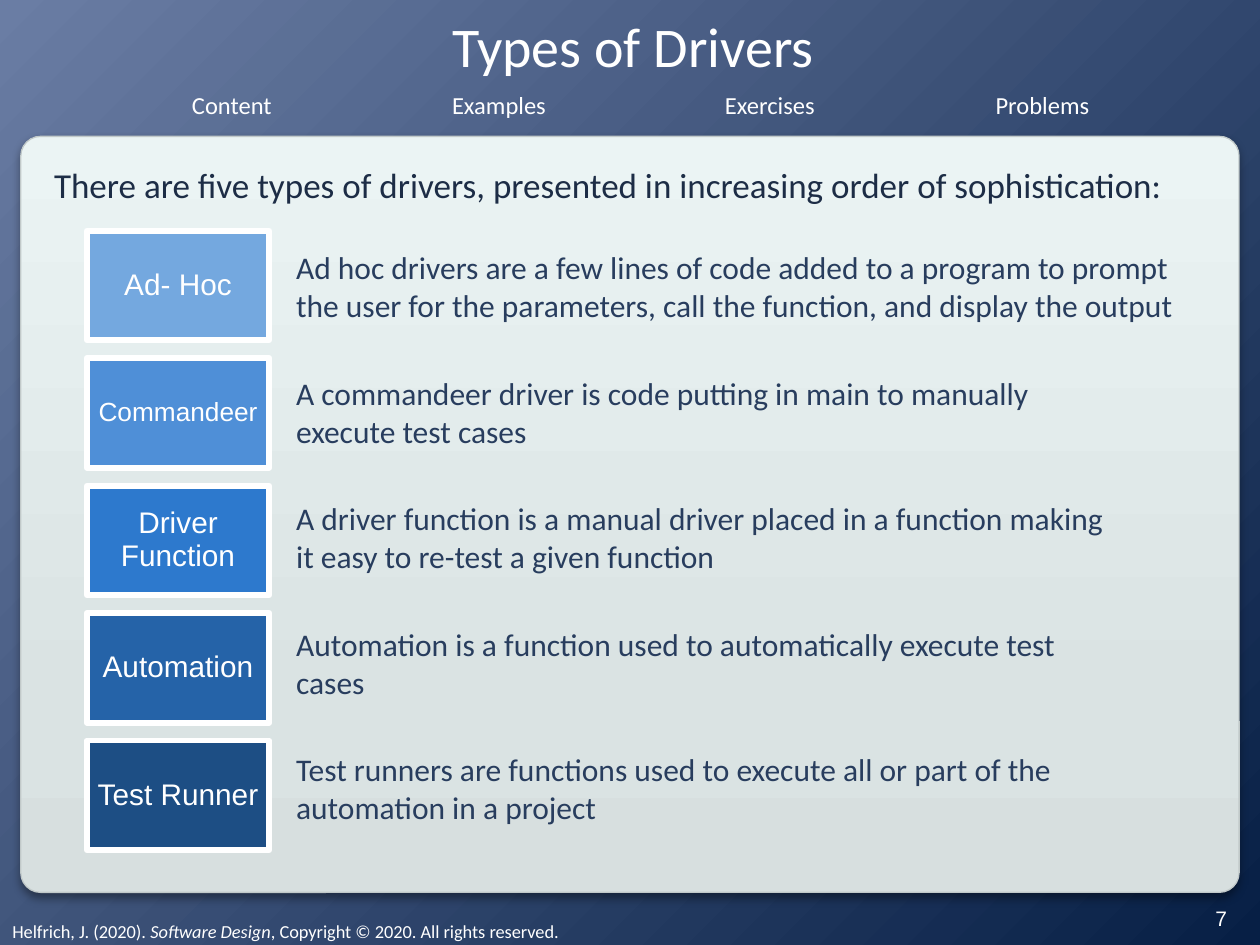
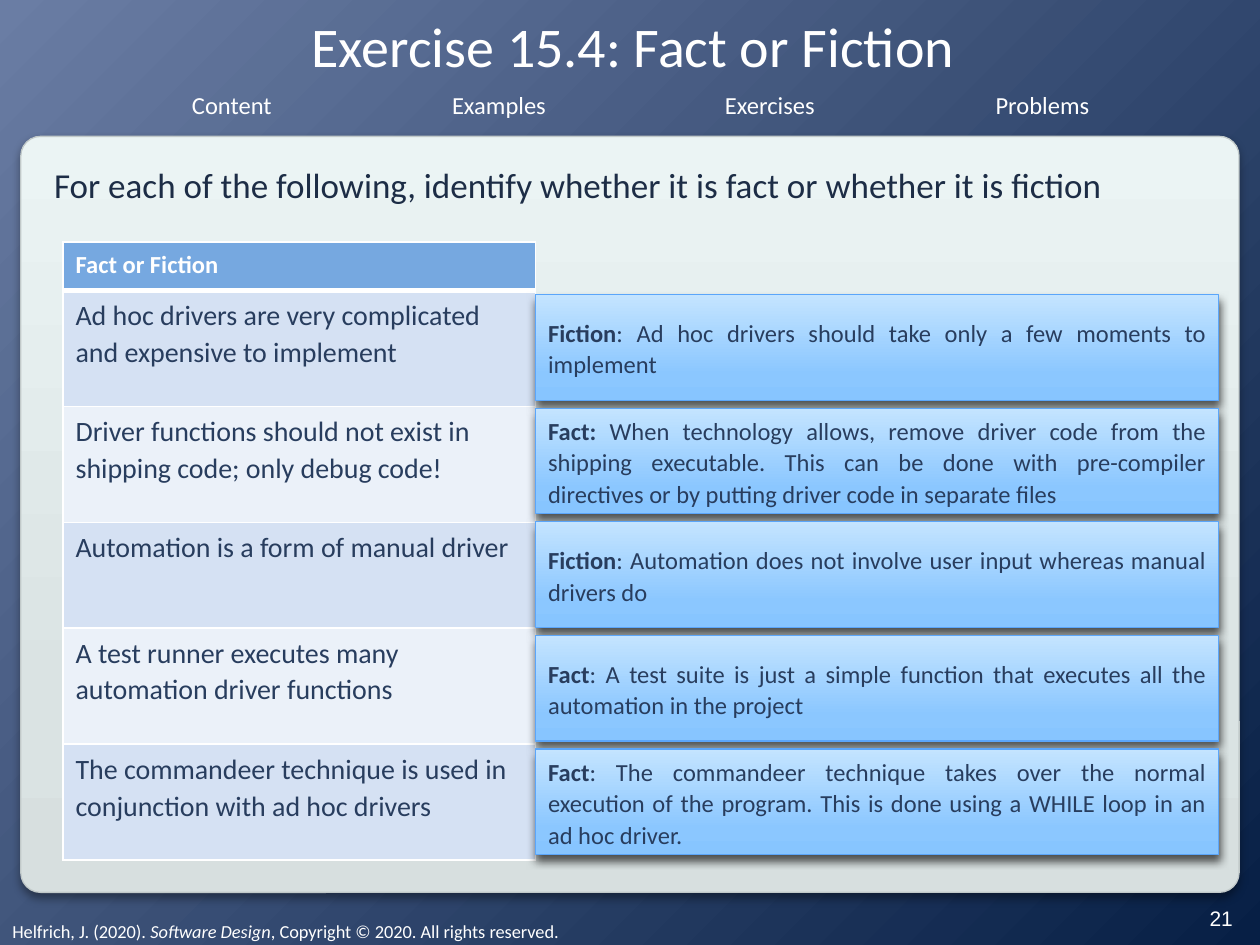
import pptx
import pptx.util
import pptx.dml.color
import pptx.enum.shapes
import pptx.enum.text
import pptx.oxml.ns
from lxml import etree

Cm = pptx.util.Cm
Pt = pptx.util.Pt
qn = pptx.oxml.ns.qn
ALIGN = pptx.enum.text.PP_ALIGN
MID = pptx.enum.text.MSO_ANCHOR.MIDDLE
TOP = pptx.enum.text.MSO_ANCHOR.TOP
KIND = pptx.enum.shapes.MSO_SHAPE

HUES = {
    "white": "FFFFFF", "black": "000000", "head": "1D2D46", "body": "283D5E",
    "rim": "C1C9C9", "edge": "5BA6FA",
    "label": "76A8E0", "odd": "D5E1F3", "even": "EBF1F9",
}
SKY = [(0, "6A7DA4"), (100, "071F45")]
PALE = [(0, "D7DFDF"), (25, "DAE3E3"), (100, "EBF4F4")]
BLUE = [(0, "87C5FF"), (25, "8BC7FF"), (100, "C4E4FF")]

MENU = [("Content", 3.61, 2.13), ("Examples", 8.84, 2.44),
        ("Exercises", 14.35, 2.34), ("Problems", 19.81, 2.41)]
CREDIT = [("Helfrich, J. (2020). ", ""), ("Software Design", "i"),
          (", Copyright © 2020. All rights reserved.", "")]

DRIVERS = [
    ("Ad- Hoc", "74A8DF", 17, 19.05,
     "Ad hoc drivers are a few lines of code added to a program to prompt the user "
     "for the parameters, call the function, and display the output"),
    ("Commandeer", "4F8FD7", 15, 17.15,
     "A commandeer driver is code putting in main to manually execute test cases"),
    ("Driver Function", "2D79CD", 17, 17.15,
     "A driver function is a manual driver placed in a function making it easy to "
     "re-test a given function"),
    ("Automation", "2563A8", 17, 17.15,
     "Automation is a function used to automatically execute test cases"),
    ("Test Runner", "1D4E84", 17, 17.15,
     "Test runners are functions used to execute all or part of the automation in a project"),
]

CLAIMS = [
    ("Ad hoc drivers are very complicated and expensive to implement", 2.34,
     "Fiction", ": Ad hoc drivers should take only a few moments to implement"),
    ("Driver functions should not exist in shipping code; only debug code!", 2.34,
     "Fact: ", "When technology allows, remove driver code from the shipping executable. "
     "This can be done with pre-compiler directives or by putting driver code in separate files"),
    ("Automation is a form of manual driver", 2.13,
     "Fiction", ": Automation does not involve user input whereas manual drivers do"),
    ("A test runner executes many automation driver functions", 2.34,
     "Fact", ": A test suite is just a simple function that executes all the automation "
     "in the project"),
    ("The commandeer technique is used in conjunction with ad hoc drivers", 2.34,
     "Fact", ": The commandeer technique takes over the normal execution of the program. "
     "This is done using a WHILE loop in an ad hoc driver."),
]


def rgb(code):
    """Turn a hex string into a colour."""
    return pptx.dml.color.RGBColor.from_string(code)


def node(host, tag, **attrs):
    """Add a drawing element below host."""
    return etree.SubElement(host, qn(tag), {key: str(val) for key, val in attrs.items()})


def blend(host, fill, stops, round=False):
    """Fill with a gradient, rising or spreading from the top left corner."""
    fill.gradient()
    grad = next(host.iter(qn("a:gradFill")))
    grad.clear()
    grad.set("rotWithShape", "1")
    row = node(grad, "a:gsLst")
    for place, code in stops:
        node(node(row, "a:gs", pos=place * 1000), "a:srgbClr", val=code)
    if round:
        way = node(grad, "a:path", path="circle")
        node(way, "a:fillToRect", r=100000, b=100000)
    else:
        node(grad, "a:lin", ang=16200000, scaled=0)


def shade(shape, alpha):
    """Cast a soft shadow straight down."""
    effect = next(shape.element.iter(qn("a:effectLst")))
    drop = node(effect, "a:outerShdw", blurRad=Pt(5.2), dist=Pt(3),
                dir=5400000, algn="ctr", rotWithShape=0)
    node(node(drop, "a:srgbClr", val=HUES["black"]), "a:alpha", val=alpha * 1000)


def write(frame, text, size=18, font="Calibri", hue="white", align=ALIGN.LEFT,
          space=None, pad=None, anchor=None, wrap=True):
    """Write a string, or (text, style) runs, into a text frame."""
    frame.word_wrap = wrap
    if anchor is not None:
        frame.vertical_anchor = anchor
    if pad is not None:
        frame.margin_left = frame.margin_right = Cm(pad[0])
        frame.margin_top = frame.margin_bottom = Cm(pad[1])
    para = frame.paragraphs[0]
    para.alignment = align
    if space:
        para.line_spacing = space
    for part, style in [(text, "")] if isinstance(text, str) else text:
        run = para.add_run()
        run.text = part
        run.font.size = Pt(size)
        run.font.name = font
        run.font.bold = "b" in style
        run.font.italic = "i" in style
        run.font.color.rgb = rgb(HUES[hue])


def label(slide, text, left, top, width, height, **form):
    """Add a text box."""
    box = slide.shapes.add_textbox(Cm(left), Cm(top), Cm(width), Cm(height))
    write(box.text_frame, text, **form)


def block(slide, kind, left, top, width, height, fill, line, weight=0.75, alpha=0):
    """Add a shape with a plain colour or gradient stops as fill."""
    shape = slide.shapes.add_shape(kind, Cm(left), Cm(top), Cm(width), Cm(height))
    shape.shadow.inherit = False
    if isinstance(fill, str):
        shape.fill.solid()
        shape.fill.fore_color.rgb = rgb(fill)
    else:
        blend(shape.element, shape.fill, fill)
    shape.line.color.rgb = rgb(HUES[line])
    shape.line.width = Pt(weight)
    if alpha:
        shade(shape, alpha)
    return shape


def base(deck, title, lead, page):
    """Add a slide with the shared panel, menu, title and footer."""
    slide = deck.slides.add_slide(deck.slide_layouts[6])
    blend(slide.element, slide.background.fill, SKY, round=True)
    panel = block(slide, KIND.ROUNDED_RECTANGLE, 0.42, 2.75, 24.56, 15.24,
                  PALE, "rim", alpha=40)
    panel.adjustments[0] = 0.026
    label(slide, CREDIT, 0, 18.42, 22.86, 0.74, size=10.5)
    for name, left, width in MENU:
        label(slide, name, left, 1.7, width, 0.86, size=14, align=ALIGN.CENTER, wrap=False)
    label(slide, title, 0.56, 0.28, 24.41, 1.27, size=32, align=ALIGN.CENTER,
          anchor=MID, pad=(0, 0))
    label(slide, lead, 0.84, 3.18, 23.7, 1.27, size=20, hue="head")
    label(slide, page, 23.77, 17.98, 1.7, 1.07, size=12, font="Arial",
          align=ALIGN.CENTER, anchor=MID)
    return slide


def types(slide):
    """Pair each driver box with what it means."""
    for i, (name, fill, size, width, text) in enumerate(DRIVERS):
        box = block(slide, KIND.RECTANGLE, 1.75, 4.65 + i * 2.57, 3.68, 2.21,
                    fill, "white", weight=3.35)
        write(box.text_frame, name, size=size, font="Arial", align=ALIGN.CENTER,
              space=0.9, pad=(0.18, 0.18), anchor=MID)
        label(slide, text, 5.72, 4.88 + i * 2.53, width, 1.8, hue="body")


def cell(spot, text, fill, base=1, **form):
    """Fill one table cell, with white borders."""
    props = spot._tc.get_or_add_tcPr()
    for side in "LRTB":
        line = node(props, "a:ln" + side, w=Pt(base if side == "B" else 1))
        node(node(line, "a:solidFill"), "a:srgbClr", val=HUES["white"])
    spot.fill.solid()
    spot.fill.fore_color.rgb = rgb(HUES[fill])
    spot.vertical_anchor = TOP
    write(spot.text_frame, text, space=1.07, **form)


def claims(slide):
    """List the claims in a table."""
    highs = [0.97] + [claim[1] for claim in CLAIMS]
    grid = slide.shapes.add_table(len(highs), 1, Cm(1.27), Cm(4.88),
                                  Cm(9.53), Cm(sum(highs))).table
    for row, high in zip(grid.rows, highs):
        row.height = Cm(high)
    cell(grid.cell(0, 0), [("Fact or Fiction", "b")], "label", base=3, size=14)
    for i, claim in enumerate(CLAIMS):
        cell(grid.cell(i + 1, 0), claim[0], "even" if i % 2 else "odd",
             size=16, hue="body")


def replies(slide):
    """Put the verdict beside each claim."""
    for i, (_, _, verdict, reason) in enumerate(CLAIMS):
        card = block(slide, KIND.RECTANGLE, 10.8, 5.94 + i * 2.29, 13.77, 2.13,
                     BLUE, "edge", alpha=64)
        write(card.text_frame, [(verdict, "b"), (reason, "")], size=14, hue="body",
              align=ALIGN.JUSTIFY, space=1.07, pad=(0.25, 0), anchor=MID)


def main():
    """Build both slides and save them."""
    deck = pptx.Presentation()
    deck.slide_width, deck.slide_height = Cm(25.4), Cm(19.05)
    types(base(deck, "Types of Drivers",
               "There are five types of drivers, presented in increasing order "
               "of sophistication:", "7"))
    quiz = base(deck, "Exercise 15.4: Fact or Fiction",
                "For each of the following, identify whether it is fact or "
                "whether it is fiction", "21")
    claims(quiz)
    replies(quiz)
    deck.save("out.pptx")


if __name__ == "__main__":
    main()
